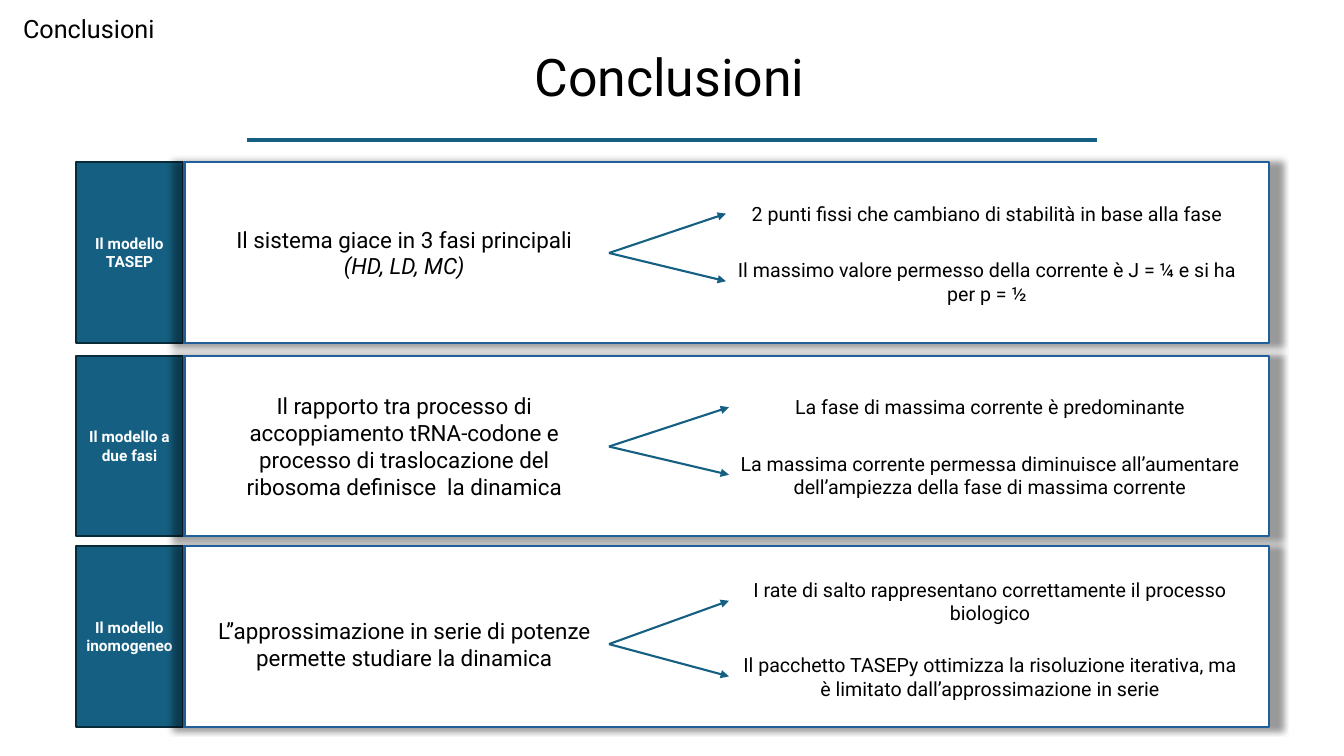
from lxml import etree
from pptx import Presentation
from pptx import util as u
from pptx.dml.color import RGBColor
from pptx.enum import shapes, text
from pptx.oxml.ns import qn

PX = 9144  # 100 px to the inch
FONT = "Roboto"
BLACK, WHITE, TEAL, NAVY, BLUE = "000000", "FFFFFF", "156082", "092A39", "215F9A"

# top, label, lead paragraphs, lead height, fork offset, note left,
# notes (offset, height, words)
ROWS = [
    (161, "Il modello TASEP",
     ["Il sistema giace in 3 fasi principali", "(HD, LD, MC)"], 64, 90, 720,
     [(34, 34, "2 punti fissi che cambiano di stabilità in base alla fase"),
      (90, 57, "Il massimo valore permesso della corrente è J = ¼ "
               "e si ha per p = ½")]),
    (353, "Il modello a due fasi",
     ["Il rapporto tra processo di accoppiamento tRNA-codone e processo di "
      "traslocazione del ribosoma definisce  la dinamica"], 118, 90, 723,
     [(34, 34, "La fase di massima corrente è predominante"),
      (90, 57, "La massima corrente permessa diminuisce all’aumentare "
               "dell’ampiezza della fase di massima corrente")]),
    (542, "Il modello inomogeneo",
     ["L’’approssimazione in serie di potenze permette studiare la dinamica"],
     64, 97, 723,
     [(26, 57, "I rate di salto rappresentano correttamente il processo biologico"),
      (101, 57, "Il pacchetto TASEPy ottimizza la risoluzione iterativa, "
                "ma è limitato dall’approssimazione in serie")]),
]


def color(code):
    return RGBColor.from_string(code)


def scale(*sizes):
    return [u.Emu(size * PX) for size in sizes]


def write(shape, lines, size, ink=BLACK, bold=False, center=True):
    frame = shape.text_frame
    frame.text = "\n".join(lines)
    for para in frame.paragraphs:
        para.alignment = text.PP_ALIGN.CENTER if center else text.PP_ALIGN.LEFT
        for run in para.runs:
            run.font.name = FONT
            run.font.size = u.Pt(size)
            run.font.bold = bold
            run.font.color.rgb = color(ink)
    return frame


def add_panel(slide, box, fill, edge, width):
    panel = slide.shapes.add_shape(shapes.MSO_SHAPE.RECTANGLE, *scale(*box))
    panel.shadow.inherit = False
    panel.fill.solid()
    panel.fill.fore_color.rgb = color(fill)
    panel.line.color.rgb = color(edge)
    panel.line.width = u.Pt(width)
    panel.text_frame.vertical_anchor = text.MSO_ANCHOR.MIDDLE
    return panel


def add_text(slide, box, lines, size, wrap=True):
    label = slide.shapes.add_textbox(*scale(*box))
    frame = write(label, lines, size, center=wrap)
    frame.word_wrap = wrap
    return frame


def add_line(slide, start, end, width, arrow=False):
    line = slide.shapes.add_connector(
        shapes.MSO_CONNECTOR.STRAIGHT, *scale(*start, *end))
    line.line.color.rgb = color(TEAL)
    line.line.width = u.Pt(width)
    if arrow:
        etree.SubElement(line.line._get_or_add_ln(), qn("a:tailEnd"), type="triangle")
    etree.SubElement(line._element.spPr, qn("a:effectLst"))


def add_glow(panel):
    """Cast a soft shadow slightly larger than the panel, from its centre."""
    effects = panel._element.spPr.find(qn("a:effectLst"))
    shade = etree.SubElement(effects, qn("a:outerShdw"), blurRad="63500",
                             sx="102000", sy="102000", algn="ctr", rotWithShape="0")
    ink = etree.SubElement(shade, qn("a:srgbClr"), val=BLACK)
    etree.SubElement(ink, qn("a:alpha"), val="40000")


def add_header(slide, left, top, width, height):
    title = add_panel(slide, (left, top, width, height), WHITE, WHITE, 1)
    write(title, ["Conclusioni"], 37).paragraphs[0].line_spacing = 0.9
    rule = top + 132
    add_line(slide, (left + 156, rule), (left + 999, rule), 3)
    add_text(slide, (13, 8, 151, 40), ["Conclusioni"], 18, wrap=False)


def add_cards(slide, left, top, width, height, label):
    tab = add_panel(slide, (left, top, 107, height), TEAL, NAVY, 1.5)
    write(tab, [label], 11, WHITE, bold=True)
    add_glow(add_panel(slide, (left + 108, top, width - 108, height),
                       WHITE, BLUE, 1.5))


def add_points(slide, left, top, lead, tall, fork, edge, notes):
    """Place the lead text and the arrows that fork from it to the notes."""
    middle = top + fork
    frame = add_text(slide, (left + 123, middle - tall // 2, 406, tall), lead, 16)
    for para in frame.paragraphs[1:]:
        para.runs[0].font.italic = True
    for offset, high, words in notes:
        place = top + offset
        add_text(slide, (edge, place, 518, high), [words], 14)
        add_line(slide, (left + 529, middle), (edge, place + high // 2), 1.5, True)


def main():
    deck = Presentation()
    deck.slide_width, deck.slide_height = scale(1333, 750)
    slide = deck.slides.add_slide(deck.slide_layouts[6])
    add_header(slide, 89, 7, 1150, 145)
    for top, label, *_ in ROWS:
        add_cards(slide, 75, top, 1184, 179, label)
    for top, _, *points in ROWS:
        add_points(slide, 75, top, *points)
    deck.save("out.pptx")


if __name__ == "__main__":
    main()
